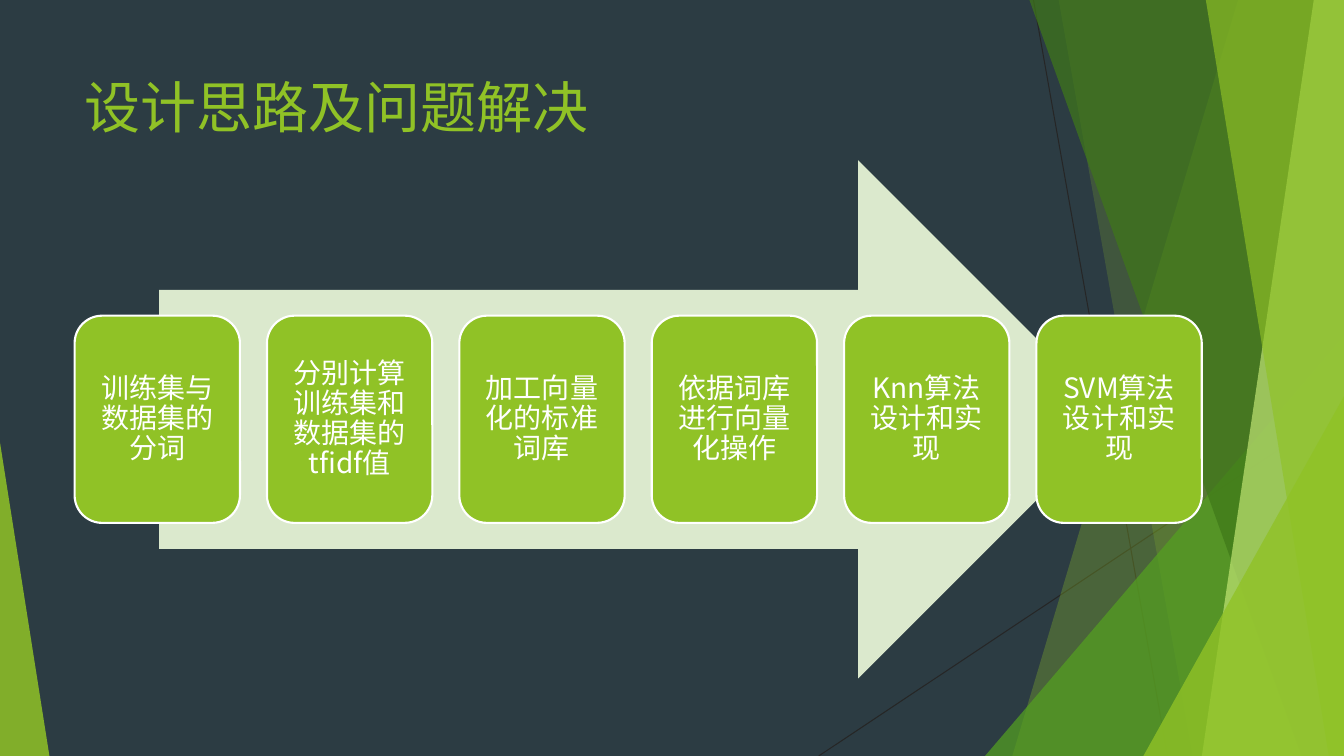
from collections import namedtuple

from lxml.etree import SubElement
from pptx import Presentation
from pptx.dml.color import RGBColor
from pptx.enum.shapes import MSO_CONNECTOR, MSO_SHAPE
from pptx.enum.text import MSO_ANCHOR, MSO_AUTO_SIZE, PP_ALIGN
from pptx.oxml.ns import qn
from pptx.util import Inches, Pt

Box = namedtuple("Box", "left top width height")

GREEN = "90C226"
STEPS = [
    "训练集与数据集的分词",
    "分别计算训练集和数据集的tfidf值",
    "加工向量化的标准词库",
    "依据词库进行向量化操作",
    "Knn算法设计和实现",
    "SVM算法设计和实现",
]


def color(value):
    """Return the colour for a hex string."""
    return RGBColor.from_string(value)


def paint(shape, fill, opacity=100, line=None):
    """Give a shape a flat fill, an opacity in percent and an optional outline."""
    shape.shadow.inherit = False
    shape.fill.solid()
    shape.fill.fore_color.rgb = color(fill)
    if opacity < 100:
        tone = shape.fill._xPr.find(qn("a:solidFill"))[0]
        SubElement(tone, qn("a:alpha"), val=str(opacity * 1000))
    if line:
        shape.line.color.rgb = color(line)
        shape.line.width = Pt(1.5)
    else:
        shape.line.fill.background()


def write(frame, text, size, font, fill, align=PP_ALIGN.LEFT, anchor=MSO_ANCHOR.TOP,
          spacing=1.0, after=0):
    """Fill a text frame with one formatted paragraph."""
    frame.word_wrap = True
    frame.auto_size = MSO_AUTO_SIZE.NONE
    frame.vertical_anchor = anchor
    para = frame.paragraphs[0]
    para.alignment = align
    para.line_spacing = spacing
    para.space_after = Pt(after)
    span = para.add_run()
    span.text = text
    span.font.size = Pt(size)
    span.font.name = font
    span.font.color.rgb = color(fill)
    SubElement(span.font._element, qn("a:ea"), typeface=font)


def add_shape(page, kind, box):
    """Add a preset shape that fills a box given in inches."""
    return page.shapes.add_shape(kind, *(Inches(length) for length in box))


def add_hairline(page, start, end):
    """Draw a thin dark line between two points."""
    line = page.shapes.add_connector(
        MSO_CONNECTOR.STRAIGHT, *(Inches(length) for length in start + end))
    line.line.color.rgb = color("262626")
    line.line.width = Pt(0.75)
    SubElement(line._element.spPr, qn("a:effectLst"))


def add_facet(page, box, top_inset, bottom_inset, fill, opacity):
    """Add a full-height facet between a slanted edge and the right side of the box."""
    right, bottom = box.left + box.width, box.top + box.height
    corners = [(right - top_inset, box.top), (right, box.top),
               (right, bottom), (right - bottom_inset, bottom)]
    points = [(Inches(x), Inches(y)) for x, y in corners]
    builder = page.shapes.build_freeform(*points[0])
    builder.add_line_segments(points[1:], close=True)
    paint(builder.convert_to_shape(), fill, opacity)


def add_wedge(page, box, width, height, fill, opacity, apex=1):
    """Add a right triangle in the lower right (apex 1) or lower left (apex 0) corner."""
    left = box.left + apex * (box.width - width)
    top = box.top + box.height - height
    wedge = add_shape(page, MSO_SHAPE.ISOSCELES_TRIANGLE, Box(left, top, width, height))
    wedge.adjustments[0] = apex
    paint(wedge, fill, opacity)


def add_backdrop(page, box):
    """Draw the dark ground with its hairlines and overlapping green facets."""
    page.background.fill.solid()
    page.background.fill.fore_color.rgb = color("2C3C43")
    right, bottom = box.left + box.width, box.top + box.height
    add_hairline(page, (right - 3.08, box.top), (right - 1.75, bottom))
    add_hairline(page, (right, box.top + 4.03), (right - 5.21, bottom))
    add_facet(page, box, 1.05, 3.29, GREEN, 30)
    add_facet(page, box, 2.83, 1.5, GREEN, 20)
    add_wedge(page, box, 3.56, 4.17, "54A021", 72)
    add_facet(page, box, 3.12, 0.42, "3F7819", 70)
    add_facet(page, box, 0.3, 1.41, "C0E474", 70)
    add_facet(page, box, 1.37, 0.15, GREEN, 65)
    add_wedge(page, box, 1.99, 3.57, GREEN, 80)
    add_wedge(page, box, 0.49, 3.11, GREEN, 85, apex=0)


def add_title(page, box, text):
    """Place and format the title placeholder."""
    title = page.shapes.title
    title.left, title.top, title.width, title.height = (Inches(length) for length in box)
    write(title.text_frame, text, size=40, font="Noto Sans CJK JP", fill=GREEN)


def add_process(page, box, steps):
    """Draw evenly spaced step cards over a wide arrow."""
    arrow_width = box.width * 0.85
    arrow_left = box.left + (box.width - arrow_width) / 2
    arrow = add_shape(page, MSO_SHAPE.RIGHT_ARROW,
                      Box(arrow_left, box.top, arrow_width, box.height))
    paint(arrow, "DBE9CD")
    card_width, card_height = 1.64, box.height * 0.4
    pitch = (box.width - card_width) / (len(steps) - 1)
    card_top = box.top + (box.height - card_height) / 2
    for index, step in enumerate(steps):
        card = add_shape(page, MSO_SHAPE.ROUNDED_RECTANGLE,
                         Box(box.left + index * pitch, card_top, card_width, card_height))
        paint(card, GREEN, line="FFFFFF")
        frame = card.text_frame
        frame.margin_left = frame.margin_right = Inches(0.08)
        frame.margin_top = frame.margin_bottom = Inches(0.08)
        write(frame, step, size=20, font="Noto Sans CJK SC", fill="FFFFFF",
              align=PP_ALIGN.CENTER, anchor=MSO_ANCHOR.MIDDLE, spacing=0.9, after=7)


def main():
    """Build the slide and save it."""
    deck = Presentation()
    deck.slide_width, deck.slide_height = Inches(13.33), Inches(7.5)
    page = deck.slides.add_slide(deck.slide_layouts[5])
    add_backdrop(page, Box(0, 0, 13.33, 7.5))
    add_title(page, Box(0.74, 0.67, 9.4, 1.44), "设计思路及问题解决")
    add_process(page, Box(0.74, 1.59, 11.18, 5.14), STEPS)
    deck.save("out.pptx")


if __name__ == "__main__":
    main()
